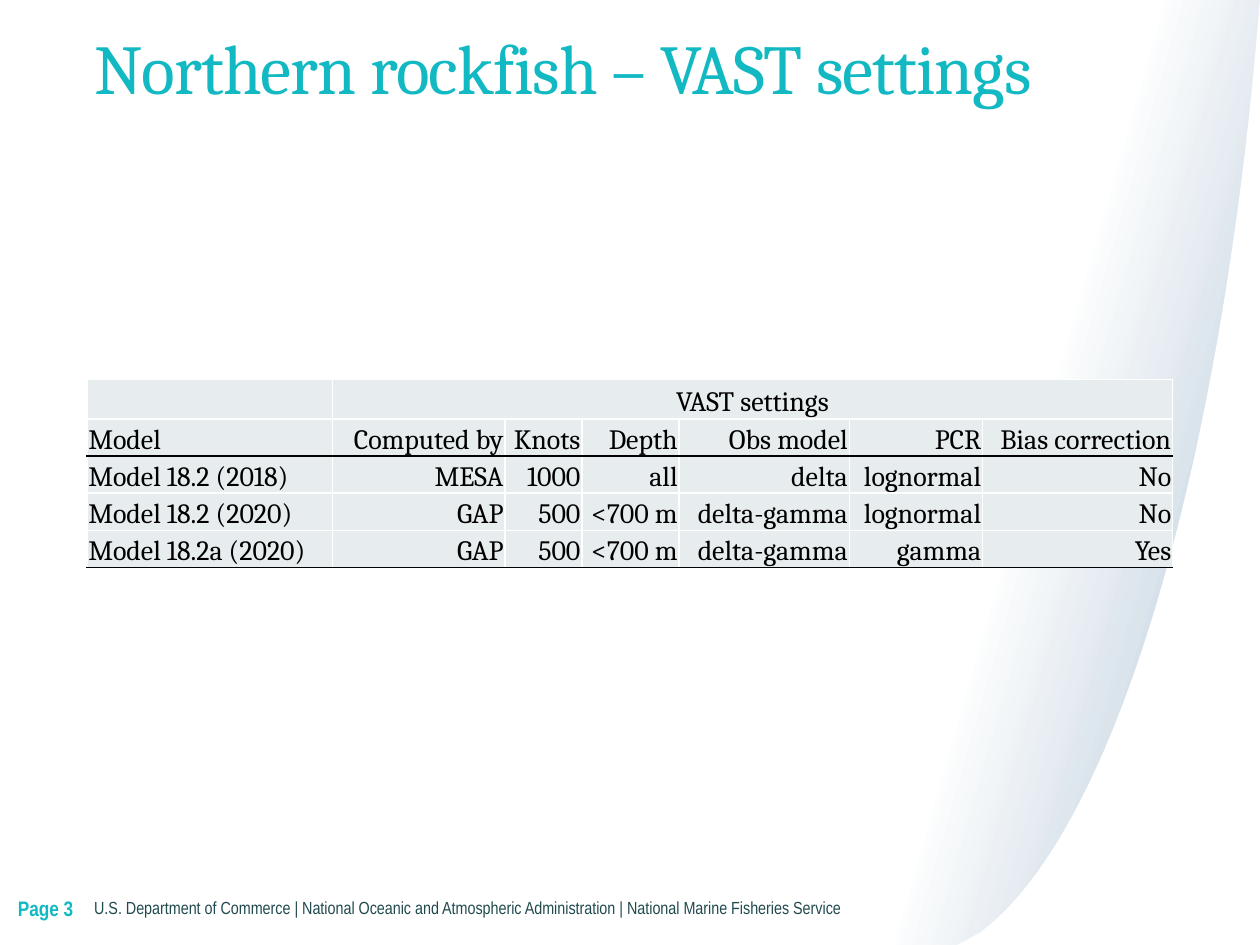
from lxml import etree
from pptx import Presentation
from pptx import util as u
from pptx.dml import color
from pptx.enum import text
from pptx.oxml import ns

TEAL, DARK, BLUE = "13B9C2", "214A4F", "07477D"
WHITE, BLACK, GRAY = "FFFFFF", "000000", "E7EDEF"
SERIF, SANS = "Cambria", "Arial Narrow"
COLS = [4.95, 3.48, 1.55, 1.96, 3.43, 2.69, 3.83]
ROWS = [
    ["", "VAST settings", "", "", "", "", ""],
    ["Model", "Computed by", "Knots", "Depth", "Obs model", "PCR", "Bias correction"],
    ["Model 18.2 (2018)", "MESA", "1000", "all", "delta", "lognormal", "No"],
    ["Model 18.2 (2020)", "GAP", "500", "<700 m", "delta-gamma", "lognormal", "No"],
    ["Model 18.2a (2020)", "GAP", "500", "<700 m", "delta-gamma", "gamma", "Yes"],
]
RULED = {1, 4}


def rgb(code):
    """Turn a hex string into a colour."""
    return color.RGBColor.from_string(code)


def add_run(para, words, size, face, code, bold=False):
    """Add one styled run to a paragraph."""
    run = para.add_run()
    run.text = words
    font = run.font
    font.size, font.name, font.bold = u.Pt(size), face, bold
    font.color.rgb = rgb(code)
    return run


def add_line(slide, box, words, size, face, code, anchor, bold=False):
    """Place one line of text in a box without side margins."""
    frame = slide.shapes.add_textbox(*map(u.Cm, box)).text_frame
    frame.word_wrap = True
    frame.vertical_anchor = anchor
    frame.margin_left = frame.margin_right = 0
    frame.margin_top = frame.margin_bottom = 0
    return add_run(frame.paragraphs[0], words, size, face, code, bold)


def add_title(slide, box):
    """Place the slide title."""
    run = add_line(slide, box, "Northern rockfish – VAST settings", 40, SERIF,
                   TEAL, text.MSO_ANCHOR.BOTTOM)
    run.font._element.set("spc", "-50")
    slide.shapes[-1].text_frame.paragraphs[0].line_spacing = 0.9


def add_foot(slide, box):
    """Place the page number and the agency line."""
    left, top, wide, high = box
    page = 1.54
    mid = text.MSO_ANCHOR.MIDDLE
    add_line(slide, (left + page, top, wide - page, high),
             "U.S. Department of Commerce | National Oceanic and Atmospheric "
             "Administration | National Marine Fisheries Service", 10, SANS, DARK, mid)
    add_line(slide, (left, top, page, high), "Page 3", 12, SANS, TEAL, mid, True)


def curve(ends, count=40):
    """List points along a cubic curve."""
    spots = []
    for i in range(count + 1):
        t = i / count
        mix = [(1 - t) ** 3, 3 * t * (1 - t) ** 2, 3 * t * t * (1 - t), t ** 3]
        spots.append(tuple(sum(m * p[k] for m, p in zip(mix, ends)) for k in (0, 1)))
    return spots


def add_form(slide, box, spots):
    """Draw a closed outline from points relative to a box."""
    pts = [(u.Cm(box[0] + x), u.Cm(box[1] + y)) for x, y in spots]
    pen = slide.shapes.build_freeform(*pts[0])
    pen.add_line_segments(pts[1:], close=True)
    form = pen.convert_to_shape()
    form.shadow.inherit = False
    form.line.fill.background()
    return form


def add_sweep(slide, box):
    """Draw the fading blue band and the white curve that trims it."""
    wide, high = box[2:]
    band = add_form(slide, box, [(0, high), (4.24, 0), (wide, 0), (wide - 0.18, high)])
    band.fill.gradient()
    band.fill.gradient_angle = 344
    for stop, place, alpha in zip(band.fill.gradient_stops, (0.42, 1), (0, 34)):
        stop.position = place
        stop.color.rgb = rgb(BLUE)
        tint = stop._gs.find(ns.qn("a:srgbClr"))
        etree.SubElement(tint, ns.qn("a:alpha"), val=str(alpha * 1000))
    arc = curve([(1.7, high - 0.25), (4.29, 16.87), (6.4, 10.06), (7.24, 1.17)])
    trim = add_form(slide, box, [(wide, 0), (wide, high), (1.24, high)] + arc)
    trim.fill.solid()
    trim.fill.fore_color.rgb = rgb(WHITE)


def set_edge(cell, codes):
    """Draw the left, right, top and bottom cell borders."""
    props = cell._tc.get_or_add_tcPr()
    for i, (side, code) in enumerate(zip("LRTB", codes)):
        edge = etree.Element(ns.qn("a:ln" + side), w=str(u.Pt(1)))
        fill = etree.SubElement(edge, ns.qn("a:solidFill"))
        etree.SubElement(fill, ns.qn("a:srgbClr"), val=code)
        props.insert(i, edge)


def add_grid(slide, box):
    """Place the table of model settings."""
    grid = slide.shapes.add_table(len(ROWS), len(COLS), *map(u.Cm, box)).table
    for col, wide in zip(grid.columns, COLS):
        col.width = u.Cm(wide)
    for r, row in enumerate(ROWS):
        grid.rows[r].height = u.Cm(box[3] / len(ROWS))
        for c, words in enumerate(row):
            cell = grid.cell(r, c)
            cell.fill.solid()
            cell.fill.fore_color.rgb = rgb(GRAY)
            cell.vertical_anchor = text.MSO_ANCHOR.BOTTOM
            cell.margin_left = cell.margin_right = cell.margin_top = u.Cm(0.03)
            cell.margin_bottom = 0
            para = cell.text_frame.paragraphs[0]
            para.alignment = text.PP_ALIGN.RIGHT if c else text.PP_ALIGN.LEFT
            add_run(para, words, 16, SERIF, BLACK)
            over, under = (BLACK if k in RULED else WHITE for k in (r - 1, r))
            set_edge(cell, (WHITE, WHITE, over, under))
    head = grid.cell(0, 1)
    head.merge(grid.cell(0, len(COLS) - 1))
    head.text_frame.paragraphs[0].alignment = text.PP_ALIGN.CENTER


def main():
    """Build the slide and save it."""
    deck = Presentation()
    deck.slide_width, deck.slide_height = u.Cm(25.4), u.Cm(19.05)
    slide = deck.slides.add_slide(deck.slide_layouts[6])
    add_sweep(slide, (18.06, 0, 7.34, 19.05))
    add_foot(slide, (0.36, 17.55, 20.14, 1.5))
    add_title(slide, (1.9, 0.53, 22.73, 1.68))
    add_grid(slide, (1.75, 7.65, sum(COLS), 3.75))
    deck.save("out.pptx")


if __name__ == "__main__":
    main()
